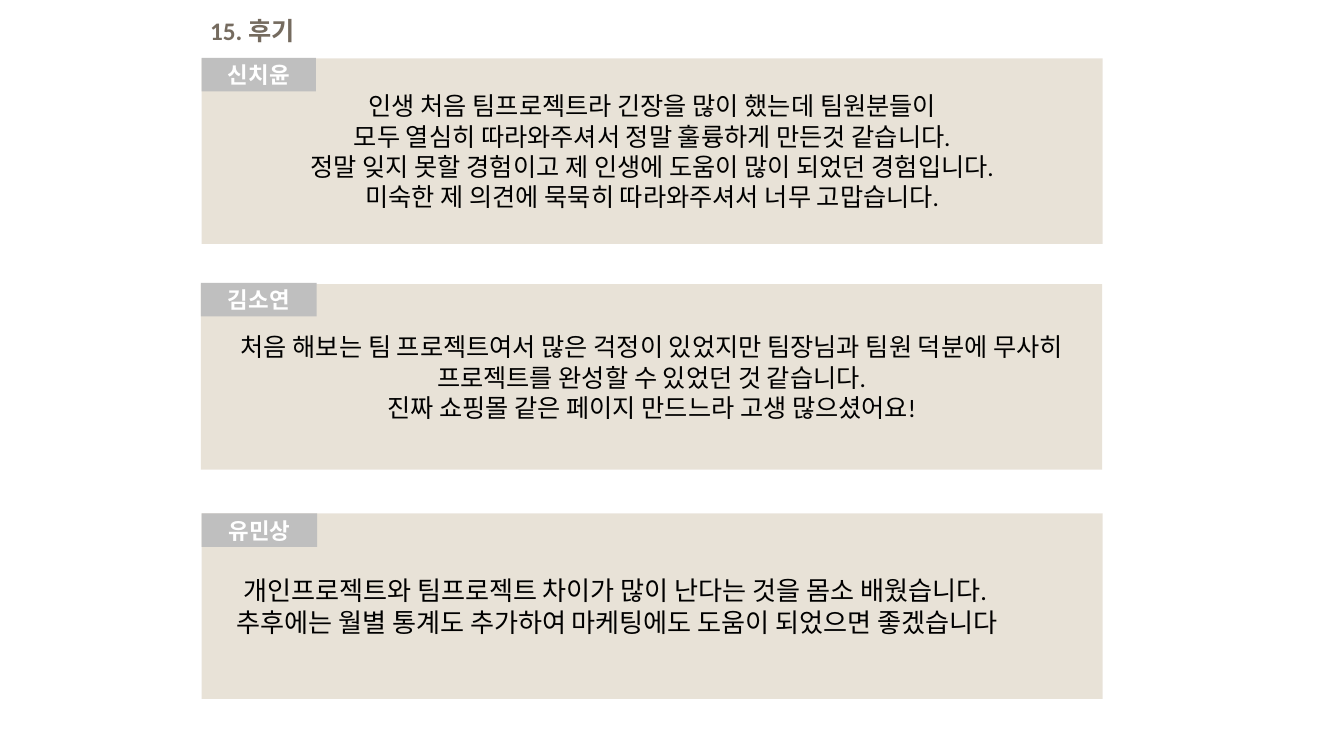
"""Builds the team review slide: a heading and three quoted comments."""
from dataclasses import dataclass

from lxml import etree
from pptx import Presentation
from pptx import util as u
from pptx.dml.color import RGBColor
from pptx.enum import shapes, text
from pptx.oxml.ns import qn


@dataclass(frozen=True)
class Theme:
    """Colours, font and type sizes of the slide."""
    font: str = "Calibri"
    heading: str = "756B5F"
    panel: str = "987C4D"
    panel_alpha: int = 22000
    tag: str = "BFBFBF"
    tag_text: str = "FFFFFF"
    body: str = "000000"
    heading_size: float = 27
    tag_size: float = 24


@dataclass(frozen=True)
class Review:
    """One team member's comment, with its place and line indents in inches."""
    author: str
    lines: tuple[str, ...]
    left: float
    top: float
    tag_top: float
    tag_width: float = 1.72
    size: float = 27
    indents: tuple[float, ...] = ()


THEME = Theme()
PANEL_WIDTH, PANEL_HEIGHT, TAG_HEIGHT = 13.41, 2.76, 0.5
REVIEWS = (
    Review("신치윤", (
        "인생 처음 팀프로젝트라 긴장을 많이 했는데 팀원분들이",
        "모두 열심히 따라와주셔서 정말 훌륭하게 만든것 같습니다.",
        "정말 잊지 못할 경험이고 제 인생에 도움이 많이 되었던 경험입니다.",
        "미숙한 제 의견에 묵묵히 따라와주셔서 너무 고맙습니다.",
    ), 3, 0.87, 0.86, tag_width=1.7),
    Review("김소연", (
        "처음 해보는 팀 프로젝트여서 많은 걱정이 있었지만 팀장님과 팀원 덕분에 무사히 "
        "프로젝트를 완성할 수 있었던 것 같습니다.",
        "진짜 쇼핑몰 같은 페이지 만드느라 고생 많으셨어요!",
    ), 2.99, 4.23, 4.21),
    Review("유민상", (
        "개인프로젝트와 팀프로젝트 차이가 많이 난다는 것을 몸소 배웠습니다.",
        "추후에는 월별 통계도 추가하여 마케팅에도 도움이 되었으면 좋겠습니다",
    ), 3, 7.64, 7.64, size=28, indents=(0.52, 0.42)),
)


def add_text(paragraph, words: str, size: float, color: str, bold: bool = False) -> None:
    """Add one formatted run to a paragraph."""
    run = paragraph.add_run()
    run.text = words
    run.font.name = THEME.font
    run.font.size = u.Pt(size)
    run.font.bold = bold
    run.font.color.rgb = RGBColor.from_string(color)


def add_block(slide, kind, left: float, top: float, width: float, height: float, color: str):
    """Add a flat filled shape without outline."""
    block = slide.shapes.add_shape(
        kind, u.Inches(left), u.Inches(top), u.Inches(width), u.Inches(height))
    block.shadow.inherit = False
    block.fill.solid()
    block.fill.fore_color.rgb = RGBColor.from_string(color)
    block.line.fill.background()
    return block


def add_panel(slide, review: Review) -> None:
    """Draw the translucent panel that holds the comment."""
    panel = add_block(slide, shapes.MSO_SHAPE.CORNER, review.left, review.top,
                      PANEL_WIDTH, PANEL_HEIGHT, THEME.panel)
    panel.adjustments[0] = 1.41
    panel.adjustments[1] = 1
    tint = panel.element.spPr.find(f".//{qn('a:srgbClr')}")
    etree.SubElement(tint, qn("a:alpha"), val=str(THEME.panel_alpha))
    frame = panel.text_frame
    frame.word_wrap = True
    frame.vertical_anchor = text.MSO_ANCHOR.MIDDLE
    for index, line in enumerate(review.lines):
        paragraph = frame.paragraphs[0] if index == 0 else frame.add_paragraph()
        if review.indents:
            paragraph.alignment = text.PP_ALIGN.LEFT
            margin = u.Inches(review.indents[index])
            paragraph._p.get_or_add_pPr().set("marL", str(margin))
        else:
            paragraph.alignment = text.PP_ALIGN.CENTER
        add_text(paragraph, line, review.size, THEME.body)


def add_tag(slide, review: Review) -> None:
    """Draw the author's name tag on the panel corner."""
    tag = add_block(slide, shapes.MSO_SHAPE.RECTANGLE, review.left, review.tag_top,
                    review.tag_width, TAG_HEIGHT, THEME.tag)
    frame = tag.text_frame
    frame.word_wrap = True
    frame.auto_size = text.MSO_AUTO_SIZE.SHAPE_TO_FIT_TEXT
    frame.vertical_anchor = text.MSO_ANCHOR.TOP
    frame.paragraphs[0].alignment = text.PP_ALIGN.CENTER
    add_text(frame.paragraphs[0], review.author, THEME.tag_size, THEME.tag_text, True)


def add_heading(slide, words: str) -> None:
    """Write the slide heading."""
    heading = slide.shapes.add_textbox(
        u.Inches(3.03), u.Inches(0.18), u.Inches(7.32), u.Inches(0.56))
    frame = heading.text_frame
    frame.word_wrap = True
    frame.auto_size = text.MSO_AUTO_SIZE.SHAPE_TO_FIT_TEXT
    add_text(frame.paragraphs[0], words, THEME.heading_size, THEME.heading, True)


def main() -> None:
    """Build and save the deck."""
    deck = Presentation()
    deck.slide_width, deck.slide_height = u.Inches(20), u.Inches(11.25)
    slide = deck.slides.add_slide(deck.slide_layouts[6])
    add_heading(slide, "15. 후기")
    for review in REVIEWS:
        add_panel(slide, review)
        add_tag(slide, review)
    deck.save("out.pptx")


if __name__ == "__main__":
    main()
